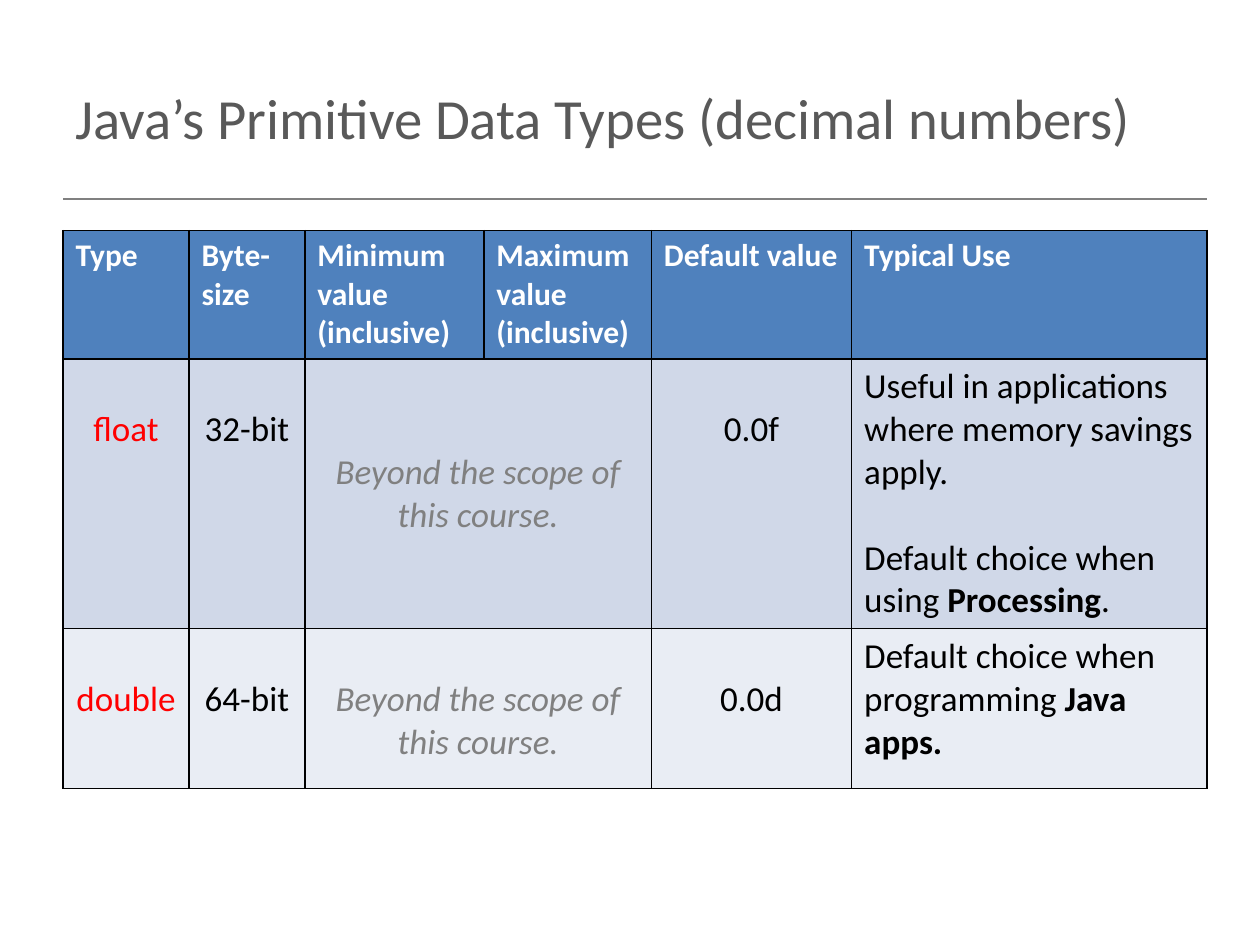
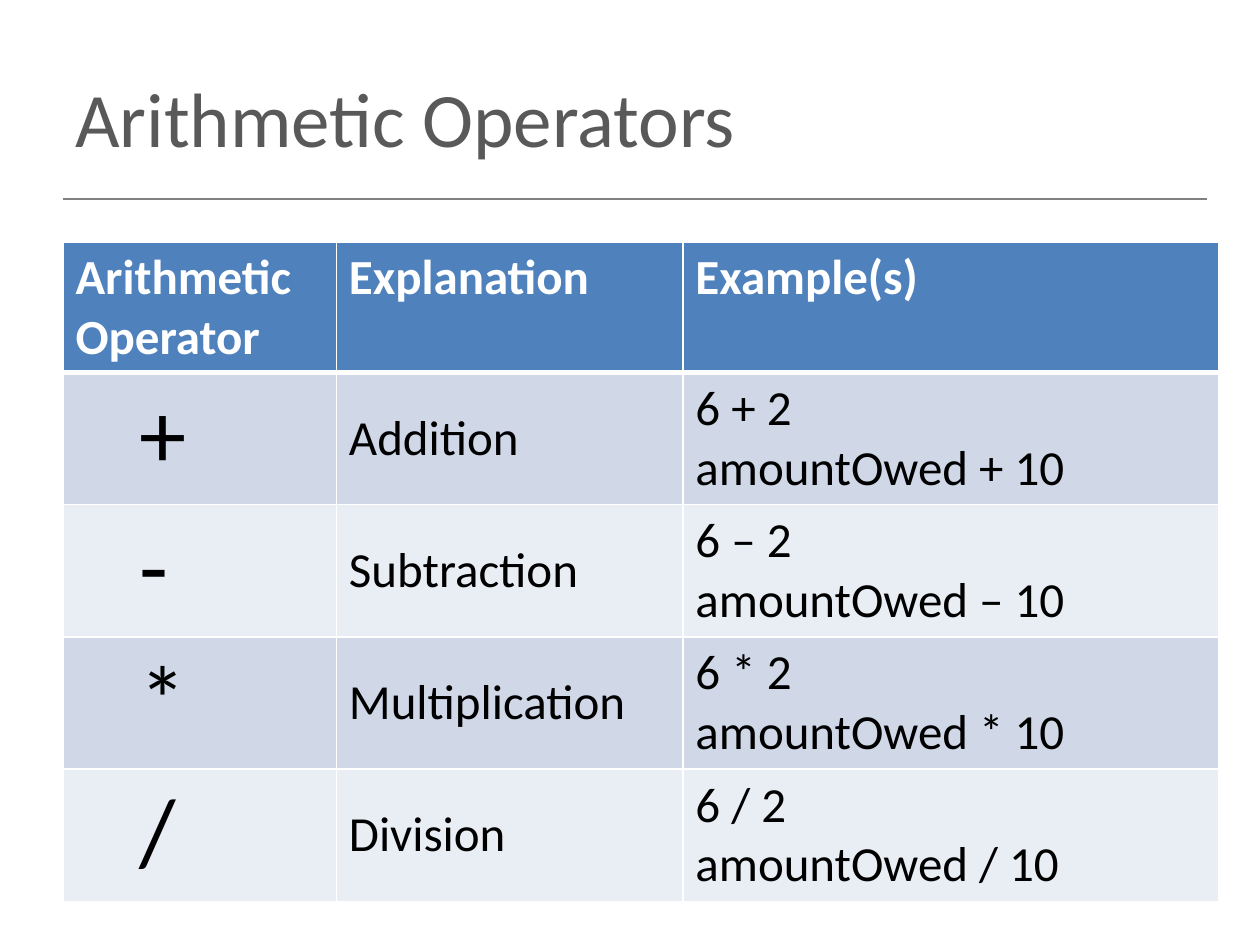
from lxml import etree
from pptx import Presentation
from pptx.dml.color import RGBColor
from pptx.enum.shapes import MSO_CONNECTOR
from pptx.enum.text import MSO_ANCHOR, PP_ALIGN
from pptx.oxml.ns import qn
from pptx.util import Inches, Pt

CENTER = PP_ALIGN.CENTER
MIDDLE, TOP = MSO_ANCHOR.MIDDLE, MSO_ANCHOR.TOP
STRAIGHT = MSO_CONNECTOR.STRAIGHT

FONT = "Calibri"
COLORS = {
    "title": "595959", "rule": "808080", "muted": "808080",
    "header": "4F81BD", "band_dark": "D0D8E8", "band_light": "E9EDF4",
    "black": "000000", "white": "FFFFFF", "keyword": "FF0000",
}
LEFT = 0.5
CELL_MARGIN = 0.05
LINE_20PT = 0.34


def rgb(name):
    return RGBColor.from_string(COLORS[name])


def write(frame, paragraphs, size=20, color="black", bold=False, italic=False,
          align=None, gap=0):
    """Fill a frame; a paragraph is a string or a list of (text, bold) spans."""
    frame.word_wrap = True
    if isinstance(paragraphs, str):
        paragraphs = [paragraphs]
    for index, spans in enumerate(paragraphs):
        para = frame.add_paragraph() if index else frame.paragraphs[0]
        if align is not None:
            para.alignment = align
        if index and gap:
            para.space_before = Pt(gap)
        if isinstance(spans, str):
            spans = [(spans, bold)]
        for text, heavy in spans:
            span = para.add_run()
            span.text = text
            font = span.font
            font.name, font.size = FONT, Pt(size)
            font.bold, font.italic = heavy, italic
            font.color.rgb = rgb(color)


def set_borders(cell, color, top=1, bottom=1):
    properties = cell._tc.get_or_add_tcPr()
    for side, width in (("L", 1), ("R", 1), ("T", top), ("B", bottom)):
        line = etree.SubElement(properties, qn(f"a:ln{side}"), w=str(Pt(width)))
        fill = etree.SubElement(line, qn("a:solidFill"))
        etree.SubElement(fill, qn("a:srgbClr"), val=COLORS[color])


class SlideBuilder:
    def __init__(self, deck):
        self.deck = deck
        self.page = None

    def start_page(self, title, size):
        self.page = self.deck.slides.add_slide(self.deck.slide_layouts[6])
        self.rule(LEFT, 9.58, 1.58)
        box = self.page.shapes.add_textbox(
            Inches(LEFT), Inches(0.3), Inches(9), Inches(1.25))
        box.text_frame.vertical_anchor = MIDDLE
        write(box.text_frame, title, size=size, color="title")

    def rule(self, start, end, top):
        line = self.page.shapes.add_connector(
            STRAIGHT, Inches(start), Inches(top), Inches(end), Inches(top))
        line.line.color.rgb = rgb("rule")
        line.line.width = Pt(1)
        etree.SubElement(line._element.spPr, qn("a:effectLst"))

    def table(self, top, widths, heights, headings, border, heading_size,
              heading_rule=1):
        """Add a banded grid with its heading row written; return the table."""
        table = self.page.shapes.add_table(
            len(heights), len(widths), Inches(LEFT), Inches(top),
            Inches(sum(widths)), Inches(sum(heights))).table
        table.horz_banding = False
        for column, width in zip(table.columns, widths):
            column.width = Inches(width)
        for index, (row, height) in enumerate(zip(table.rows, heights)):
            row.height = Inches(height)
            band = "band_dark" if index % 2 else "band_light"
            for cell in row.cells:
                set_borders(cell, border,
                            top=heading_rule if index == 1 else 1,
                            bottom=heading_rule if index == 0 else 1)
                cell.fill.solid()
                cell.fill.fore_color.rgb = rgb(band if index else "header")
        for cell, heading in zip(table.rows[0].cells, headings):
            self.cell(cell, heading, size=heading_size, color="white", bold=True)
        return table

    def cell(self, cell, text, drop=0, indent=0, anchor=TOP, **style):
        cell.margin_top = Inches(CELL_MARGIN + drop)
        cell.margin_left = Inches(0.1 + indent)
        cell.vertical_anchor = anchor
        write(cell.text_frame, text, **style)


def add_decimal_types(builder):
    builder.start_page("Java’s Primitive Data Types (decimal numbers)", 32.4)
    table = builder.table(
        1.83, [1, 0.92, 1.42, 1.33, 1.59, 2.82], [1.02, 2.14, 1.27],
        ["Type", "Byte-size", "Minimum value (inclusive)",
         "Maximum value (inclusive)", "Default value", "Typical Use"],
        border="black", heading_size=18)
    float_use = ["Useful in applications where memory savings apply.",
                 [("Default choice when using ", False),
                  ("Processing", True), (".", False)]]
    double_use = [[("Default choice when programming ", False),
                   ("Java apps.", True)]]
    types = [("float", "32-bit", 2, "0.0f", float_use),
             ("double", "64-bit", 1, "0.0d", double_use)]
    for row, (name, bits, scope_lines, default, use) in enumerate(types, 1):
        table.cell(row, 2).merge(table.cell(row, 3))
        for column, text, color in ((0, name, "keyword"), (1, bits, "black"),
                                    (4, default, "black")):
            builder.cell(table.cell(row, column), text, drop=LINE_20PT,
                         color=color, align=CENTER)
        builder.cell(table.cell(row, 2), "Beyond the scope of this course.",
                     drop=scope_lines * LINE_20PT, color="muted", italic=True,
                     align=CENTER)
        builder.cell(table.cell(row, 5), use, gap=24.4)


def add_arithmetic_operators(builder):
    builder.start_page("Arithmetic Operators", 44)
    operators = [("+", "Addition", "+"), ("-", "Subtraction", "–"),
                 ("*", "Multiplication", "*"), ("/", "Division", "/")]
    table = builder.table(
        1.92, [2.17, 2.75, 4.25], [1.03] + [1.05] * len(operators),
        ["Arithmetic Operator", "Explanation", "Example(s)"],
        border="white", heading_size=28, heading_rule=3)
    for row, (symbol, meaning, sign) in enumerate(operators, 1):
        builder.cell(table.cell(row, 0), symbol, indent=0.51, size=54)
        builder.cell(table.cell(row, 1), meaning, anchor=MIDDLE, size=28)
        builder.cell(table.cell(row, 2),
                     [f"6 {sign} 2", f"amountOwed {sign} 10"], size=28)


def main():
    deck = Presentation()
    deck.slide_width, deck.slide_height = Inches(10), Inches(7.5)
    builder = SlideBuilder(deck)
    add_decimal_types(builder)
    add_arithmetic_operators(builder)
    deck.save("out.pptx")


if __name__ == "__main__":
    main()
